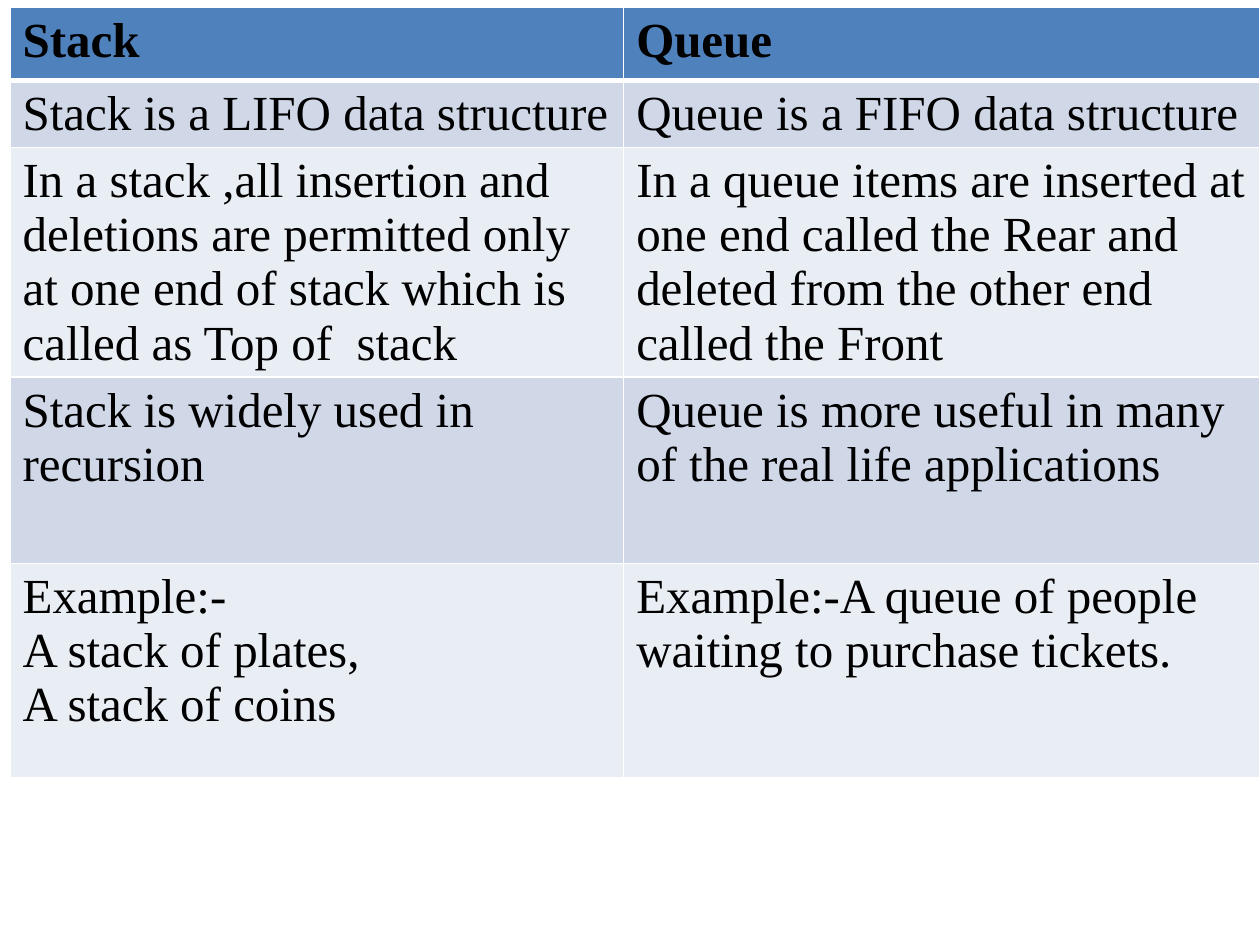
from pptx import Presentation
from pptx.dml.color import RGBColor
from pptx.oxml.ns import qn
from pptx.util import Inches, Pt
from lxml.etree import SubElement as Sub

BLACK = RGBColor(0x00, 0x00, 0x00)
WHITE = RGBColor(0xFF, 0xFF, 0xFF)
BLUE = RGBColor(0x4F, 0x81, 0xBD)
BANDS = (RGBColor(0xE9, 0xED, 0xF4), RGBColor(0xD0, 0xD8, 0xE8))

WIDTHS = (4.87, 5.05)
HEIGHTS = (0.58, 0.5, 1.7, 1.48, 1.7)
ROWS = (
    ("Stack", "Queue"),
    ("Stack is a LIFO data structure", "Queue is a FIFO data structure"),
    ("In a stack ,all insertion and deletions are permitted only "
     "at one end of stack which is called as Top of  stack",
     "In a queue items are inserted at one end called the Rear and "
     "deleted from the other end called the Front"),
    ("Stack is widely used in recursion",
     "Queue is more useful in many of the real life applications"),
    ("Example:-\nA stack of plates,\nA stack of coins",
     "Example:-A queue of people waiting to purchase tickets."),
)


def put_text(frame, text, size=28, font="Times New Roman", color=BLACK,
             bold=False):
    """Fill a text frame, one paragraph for each line of text."""
    frame.text = text
    for para in frame.paragraphs:
        for run in para.runs:
            run.font.size = Pt(size)
            run.font.name = font
            run.font.bold = bold
            run.font.color.rgb = color


def set_edges(cell, **widths):
    """Draw white cell borders; widths are points keyed by L, R, T, B."""
    props = cell._tc.get_or_add_tcPr()
    for side, width in widths.items():
        line = Sub(props, qn(f"a:ln{side}"), w=str(Pt(width)))
        fill = Sub(line, qn("a:solidFill"))
        Sub(fill, qn("a:srgbClr"), val=str(WHITE))


def fill_cell(cell, text, row):
    head = row == 0
    put_text(cell.text_frame, text, bold=head)
    set_edges(cell, L=1, R=1, T=3 if row == 1 else 1, B=3 if head else 1)
    cell.fill.solid()
    cell.fill.fore_color.rgb = BLUE if head else BANDS[row % 2]


def add_grid(slide, left, top):
    frame = slide.shapes.add_table(
        len(ROWS), len(WIDTHS), Inches(left), Inches(top),
        Inches(sum(WIDTHS)), Inches(sum(HEIGHTS)))
    table = frame.table
    for col, width in zip(table.columns, WIDTHS):
        col.width = Inches(width)
    for row, height in zip(table.rows, HEIGHTS):
        row.height = Inches(height)
    for r, texts in enumerate(ROWS):
        for c, text in enumerate(texts):
            fill_cell(table.cell(r, c), text, r)


def main():
    deck = Presentation()
    deck.slide_width, deck.slide_height = Inches(10), Inches(7.5)
    slide = deck.slides.add_slide(deck.slide_layouts[6])
    add_grid(slide, 0.08, 0.06)
    deck.save("out.pptx")


if __name__ == "__main__":
    main()
